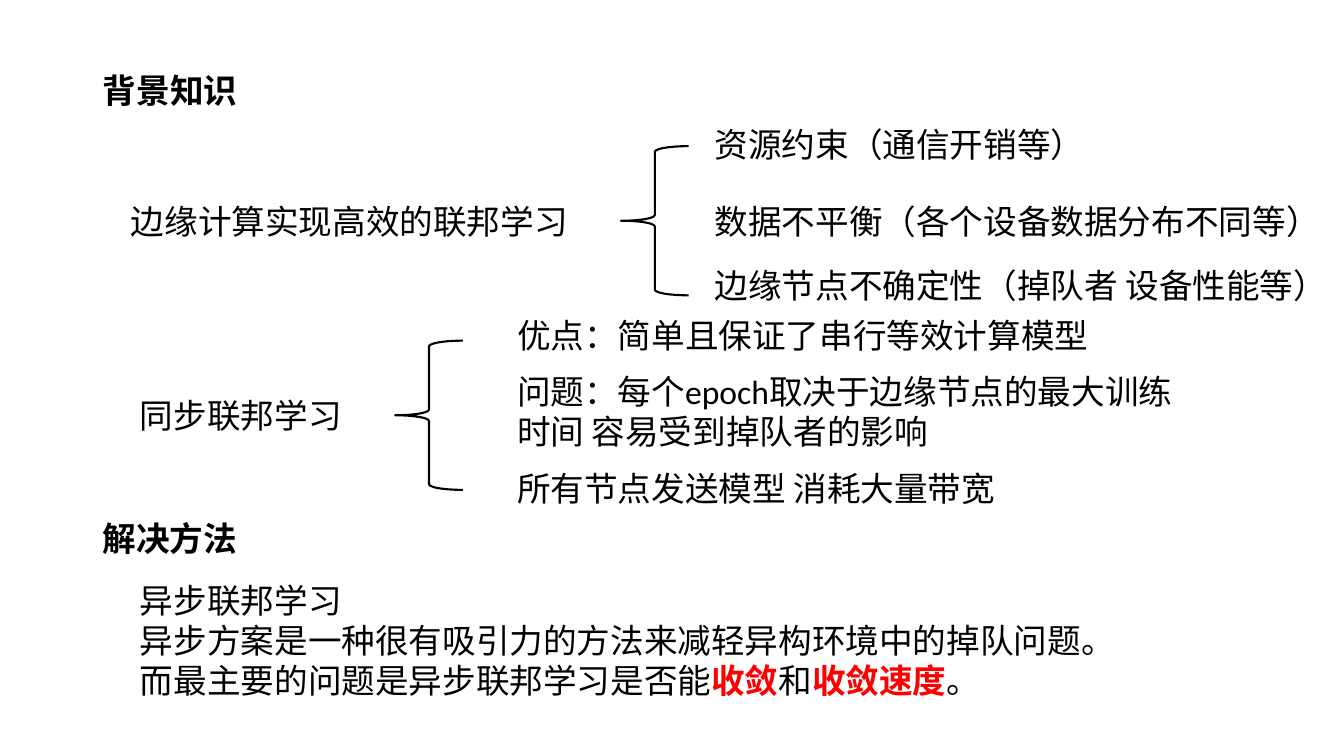
from dataclasses import dataclass

from pptx import Presentation
from pptx.dml.color import RGBColor
from pptx.enum.shapes import MSO_SHAPE as Shape
from pptx.enum.text import MSO_ANCHOR as Anchor, MSO_AUTO_SIZE as AutoSize, PP_ALIGN as Align
from pptx.util import Inches, Pt


@dataclass(frozen=True)
class Theme:
    font: str = "Calibri"
    size: float = 24
    line: float = 1.5
    ink: RGBColor = RGBColor(0, 0, 0)
    accent: RGBColor = RGBColor(255, 0, 0)


THEME = Theme()
ROW = 0.5
BRACE = (0.67, 1.48)


def write(shape, paragraphs, bold=False, wrap=True):
    frame = shape.text_frame
    frame_format = {"word_wrap": wrap, "vertical_anchor": Anchor.TOP, "auto_size": AutoSize.NONE}
    for name, value in frame_format.items():
        setattr(frame, name, value)
    for index, spans in enumerate(paragraphs):
        para = frame.add_paragraph() if index else frame.paragraphs[0]
        para.alignment = Align.LEFT
        for text, strong in spans:
            span = para.add_run()
            span.text = text
            font_format = {"name": THEME.font, "size": Pt(THEME.size), "bold": bold or strong}
            for name, value in font_format.items():
                setattr(span.font, name, value)
            span.font.color.rgb = THEME.accent if strong else THEME.ink


def add_text(page, box, paragraphs, **options):
    shape = page.shapes.add_textbox(*map(Inches, box))
    write(shape, paragraphs, **options)


def add_title(page, box, text):
    title = page.shapes.title
    for name, value in zip(("left", "top", "width", "height"), box):
        setattr(title, name, Inches(value))
    write(title, [[(text, False)]], bold=True)


def add_brace(page, left, top):
    brace = page.shapes.add_shape(Shape.LEFT_BRACE, *map(Inches, (left, top, *BRACE)))
    brace.shadow.inherit = False
    brace.fill.background()
    brace.line.color.rgb = THEME.ink
    brace.line.width = Pt(THEME.line)


def add_branches(page, box, topic, brace_offset, items_offset, items):
    left, top, topic_width, height = box
    brace_top = top + (height - BRACE[1]) / 2
    topic_top = brace_top + (BRACE[1] - ROW) / 2
    add_text(page, (left, topic_top, topic_width, ROW), [[(topic, False)]], wrap=False)
    add_brace(page, left + brace_offset, brace_top)
    for text, offset, width, lines in items:
        item_box = (left + items_offset, top + offset, width, ROW + (lines - 1) * 0.41)
        add_text(page, item_box, [[(text, False)]], wrap=lines > 1)


def add_solution(page, box, heading, paragraphs):
    left, top, width, height = box
    add_text(page, (left, top, 5.08, ROW), [[(heading, False)]], bold=True)
    add_text(page, (left + 0.37, top + 0.61, width - 0.37, height - 0.61), paragraphs, wrap=False)


def main():
    deck = Presentation()
    deck.slide_width, deck.slide_height = Inches(13.33), Inches(7.5)
    page = deck.slides.add_slide(deck.slide_layouts[5])
    add_title(page, (0.92, 0.64, 5.08, ROW), "背景知识")
    add_branches(page, (1.2, 1.18, 4.71, 2.02), "边缘计算实现高效的联邦学习", 4.96, 5.79, [
        ("资源约束（通信开销等）", 0, 3.87, 1),
        ("数据不平衡（各个设备数据分布不同等）", 0.76, 6.2, 1),
        ("边缘节点不确定性（掉队者 设备性能等）", 1.4, 6.28, 1),
    ])
    add_branches(page, (1.29, 3.08, 2.2, 2.08), "同步联邦学习", 2.63, 3.74, [
        ("优点：简单且保证了串行等效计算模型", 0, 5.9, 1),
        ("问题：每个epoch取决于边缘节点的最大训练时间 容易受到掉队者的影响", 0.55, 6.96, 2),
        ("所有节点发送模型 消耗大量带宽", 1.51, 4.94, 1),
    ])
    add_solution(page, (0.92, 5.09, 10.24, 1.92), "解决方法", [
        [("异步联邦学习", False)],
        [("异步方案是一种很有吸引力的方法来减轻异构环境中的掉队问题。", False)],
        [("而最主要的问题是异步联邦学习是否能", False), ("收敛", True), ("和", False),
         ("收敛速度", True), ("。", False)],
    ])
    deck.save("out.pptx")


if __name__ == "__main__":
    main()
